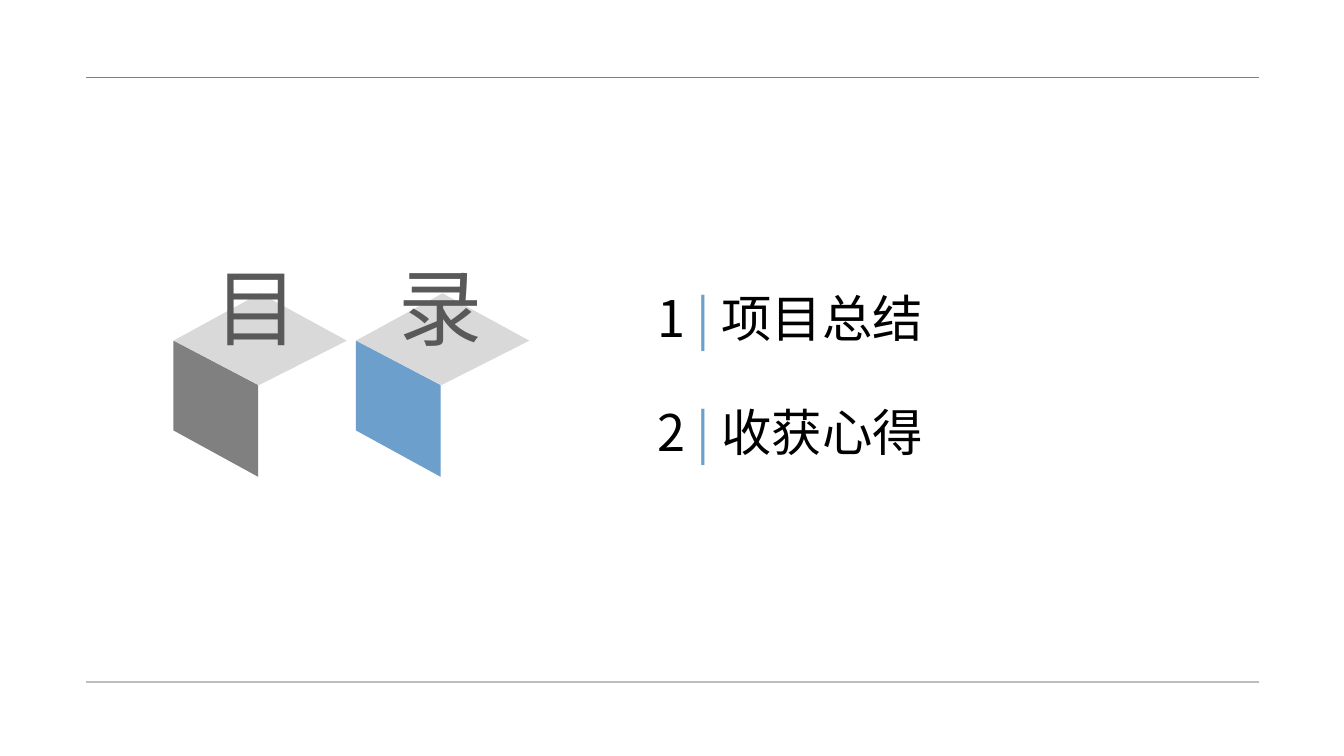
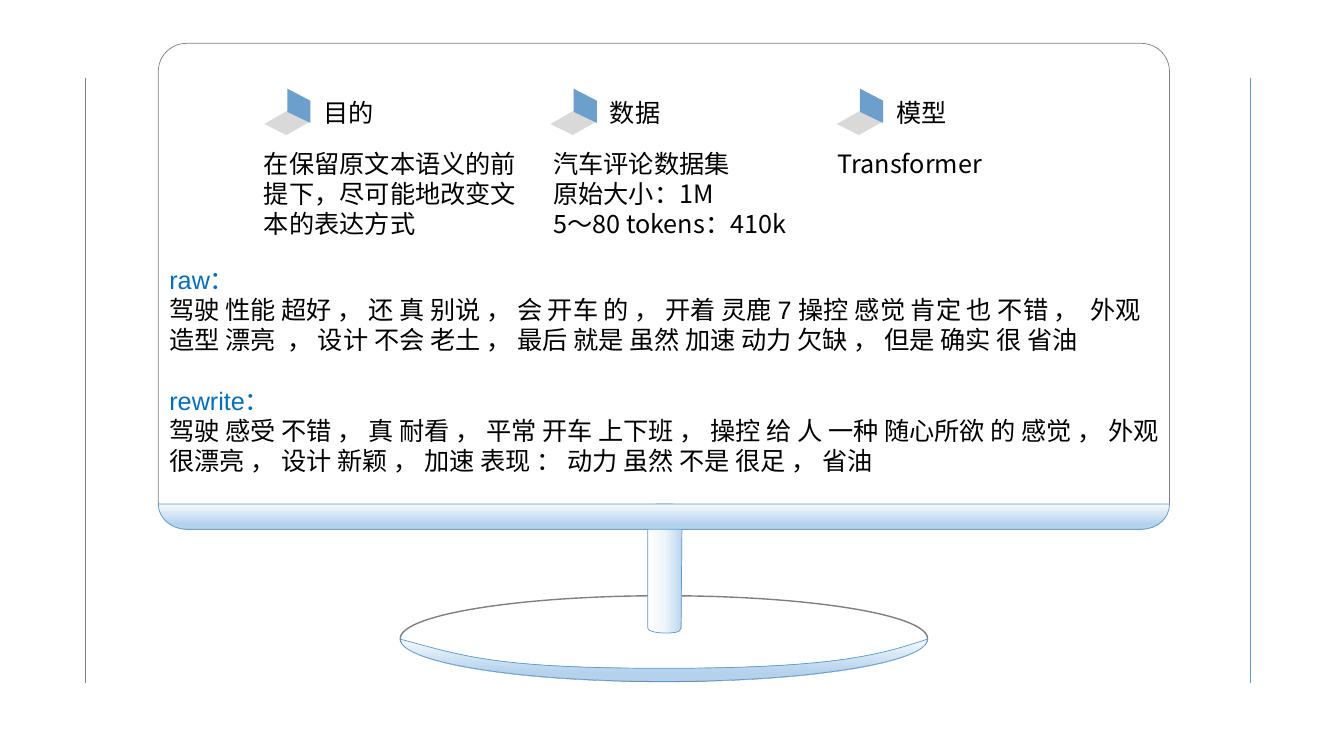
from lxml import etree
from pptx import Presentation
from pptx.dml.color import RGBColor
from pptx.enum.shapes import MSO_CONNECTOR, MSO_SHAPE
from pptx.enum.text import MSO_ANCHOR, MSO_AUTO_SIZE, PP_ALIGN
from pptx.oxml.ns import qn
from pptx.util import Inches, Pt

LINE = MSO_CONNECTOR.STRAIGHT
OVAL, ROUND = MSO_SHAPE.OVAL, MSO_SHAPE.ROUNDED_RECTANGLE
TOP, LEFT, FIXED = MSO_ANCHOR.TOP, PP_ALIGN.LEFT, MSO_AUTO_SIZE.NONE

BLACK = RGBColor(0x00, 0x00, 0x00)
WHITE = RGBColor(0xFF, 0xFF, 0xFF)
DARK = RGBColor(0x59, 0x59, 0x59)
GRAY = RGBColor(0x80, 0x80, 0x80)
SILVER = RGBColor(0xBE, 0xBE, 0xBE)
PALE = RGBColor(0xD9, 0xD9, 0xD9)
STEEL = RGBColor(0x6D, 0x9F, 0xCC)
BLUE = RGBColor(0x5B, 0x9B, 0xD5)
LABEL = RGBColor(0x00, 0x70, 0xC0)
MIST = RGBColor(0xEF, 0xF6, 0xFC)
SKY = RGBColor(0xB5, 0xD2, 0xEC)
ICE = RGBColor(0xBD, 0xD7, 0xEE)

HAN, LATIN = "Noto Sans CJK SC", "Arial"
DOWN = 270
SHADE = [(10, MIST), (79, SKY)]
GLOSS = [(0, WHITE), (47, MIST), (99, ICE)]

TOPICS = ["项目总结", "收获心得"]
COLUMNS = [
    ("目的", 2.52, ["在保留原文本语义的前提下，尽可能地改变文本的表达方式"]),
    ("数据", 5.39, ["汽车评论数据集", "原始大小：1M", "5～80 tokens：410k"]),
    ("模型", 8.21, ["Transformer"]),
]
SAMPLES = [
    ("raw：", "驾驶 性能 超好 ， 还 真 别说 ， 会 开车 的 ， 开着 灵鹿 7 操控 感觉 肯定 也 不错 ，  外观 "
     "造型 漂亮  ， 设计 不会 老土 ， 最后 就是 虽然 加速 动力 欠缺 ， 但是 确实 很 省油"),
    ("rewrite：", "驾驶 感受 不错 ， 真 耐看 ， 平常 开车 上下班 ， 操控 给 人 一种 随心所欲 的 感觉 ， 外观 "
     "很漂亮 ， 设计 新颖 ， 加速 表现 ： 动力 虽然 不是 很足 ， 省油"),
]


def place(item, x, y, w, h):
    """Move a placeholder to a box and bring it to the front."""
    item.left, item.top, item.width, item.height = map(Inches, (x, y, w, h))
    tree = item._element.getparent()
    tree.append(item._element)
    return item


def write(item, rows, size, font=HAN, inset=None):
    """Fill a text shape; each row is a list of (text, colour) runs."""
    frame = item.text_frame
    frame.word_wrap, frame.auto_size = True, FIXED
    frame.vertical_anchor = TOP
    if inset:
        frame.margin_left = frame.margin_right = Inches(inset)
        frame.margin_top = frame.margin_bottom = Inches(inset)
    for i, row in enumerate(rows):
        para = frame.add_paragraph() if i else frame.paragraphs[0]
        para.alignment = LEFT
        para.line_spacing = Pt(size * 1.2)
        para.space_before = para.space_after = Pt(0)
        props = para._p.get_or_add_pPr()
        props.set("marL", "0")
        props.set("indent", "0")
        etree.SubElement(props, qn("a:buNone"))
        for text, hue in row:
            run = para.add_run()
            run.text = text
            run.font.size, run.font.name = Pt(size), font
            run.font.color.rgb = hue
            face = etree.SubElement(run._r.get_or_add_rPr(), qn("a:ea"))
            face.set("typeface", HAN)
    return frame


def label(slide, x, y, w, h, rows, size):
    """Add a text box."""
    box = slide.shapes.add_textbox(*map(Inches, (x, y, w, h)))
    return write(box, rows, size)


def rule(slide, x1, y1, x2, y2, hue, width=0.5):
    """Draw a thin straight line."""
    line = slide.shapes.add_connector(LINE, *map(Inches, (x1, y1, x2, y2)))
    line.line.color.rgb, line.line.width = hue, Pt(width)
    etree.SubElement(line._element.spPr, qn("a:effectLst"))


def paint(shape, fill=None, edge=None, width=0.5):
    """Set a flat fill and an outline, or none of them."""
    shape.shadow.inherit = False
    if fill is None:
        shape.fill.background()
    else:
        shape.fill.solid()
        shape.fill.fore_color.rgb = fill
    if edge is None:
        shape.line.fill.background()
    else:
        shape.line.color.rgb, shape.line.width = edge, Pt(width)


def blend(shape, stops, angle):
    """Give a shape a linear gradient."""
    shape.fill.gradient()
    shape.fill.gradient_angle = angle
    group = shape._element.spPr.find(".//" + qn("a:gsLst"))
    for old in list(group):
        group.remove(old)
    for spot, hue in stops:
        stop = etree.SubElement(group, qn("a:gs"), pos=str(spot * 1000))
        etree.SubElement(stop, qn("a:srgbClr"), val=str(hue))


def bend(shape, steps):
    """Turn the line segments of each three-point step into one curve."""
    lines = iter(shape._element.spPr.findall(".//" + qn("a:lnTo")))
    for step in steps:
        group = [next(lines) for _ in step]
        if len(group) == 3:
            arc = etree.Element(qn("a:cubicBezTo"))
            group[0].addprevious(arc)
            for line in group:
                arc.append(line[0])
                line.getparent().remove(line)


def outline(slide, x, y, start, steps, fill=None, edge=None):
    """Draw a closed outline; a step holds one line point or three curve points."""
    def spot(point):
        return Inches(x + point[0]), Inches(y + point[1])
    pen = slide.shapes.build_freeform(*spot(start))
    pen.add_line_segments([spot(p) for step in steps for p in step], close=True)
    shape = pen.convert_to_shape()
    bend(shape, steps)
    paint(shape, fill, edge)
    return shape


def facet(slide, x, y, points, fill):
    """Draw a flat four-sided face."""
    outline(slide, x, y, points[0], [[p] for p in points[1:]], fill)


def cube(slide, x, y, hue):
    """Draw a large open cube: pale top and coloured side."""
    facet(slide, x, y, [(0.86, 0), (1.72, 0.47), (0.85, 0.91), (0, 0.47)], PALE)
    facet(slide, x, y, [(0, 0.47), (0.84, 0.91), (0.84, 1.82), (0, 1.36)], hue)


def icon(slide, x, y):
    """Draw a small open cube: pale floor and blue wall."""
    facet(slide, x, y, [(0.22, 0.46), (0, 0.35), (0.23, 0.22), (0.45, 0.33)], PALE)
    facet(slide, x, y, [(0.46, 0.34), (0.23, 0.23), (0.23, 0), (0.46, 0.12)], STEEL)


def stand(slide, x, y, w, h):
    """Draw the oval foot."""
    foot = slide.shapes.add_shape(OVAL, *map(Inches, (x, y, w, h)))
    paint(foot, None, GRAY, 1)


def rim(slide, x, y, w, h):
    """Draw the shaded front rim of the foot."""
    mid, dip = w / 2, h - 0.13
    steps = [[(0.63, 0.17), (0.95, dip), (mid, dip)],
             [(4.29, dip), (4.75, 0.16), (w, 0)],
             [(w, 0.23), (4.06, h), (mid, h)],
             [(1.17, h), (0, 0.23), (0, 0)]]
    blend(outline(slide, x, y, (0, 0), steps, edge=BLUE), SHADE, DOWN)


def screen(slide, x, y, w, h):
    """Draw the monitor: panel, neck and shaded lower band."""
    panel = slide.shapes.add_shape(ROUND, *map(Inches, (x, y, w, h)))
    panel.adjustments[0] = 0.058
    paint(panel, WHITE, GRAY)
    band = 0.25
    base = y + h - band
    neck = [[(0.29, 0), (0.34, 0.04), (0.34, 0.08)], [(0.33, 1.23)],
            [(0.33, 1.28), (0.23, 1.28), (0.17, 1.28)],
            [(0.12, 1.28), (0, 1.27), (0, 1.23)], [(0, 0.08)],
            [(0, 0.04), (0.04, 0), (0.09, 0)]]
    pole = outline(slide, x + w / 2 - 0.16, base, (0.24, 0), neck, edge=BLUE)
    blend(pole, GLOSS, 0)
    chin = [[(w, 0.14), (w - 0.12, band), (w - 0.28, band)], [(0.28, band)],
            [(0.13, band), (0, 0.14), (0, 0)]]
    blend(outline(slide, x, base, (w, 0), chin, edge=BLUE), SHADE, DOWN)


def agenda(deck):
    """Build the contents slide."""
    slide = deck.slides.add_slide(deck.slide_layouts[1])
    for i, hue in enumerate((GRAY, STEEL)):
        cube(slide, 1.72 + 1.81 * i, 2.91, hue)
    rule(slide, 12.49, 0.77, 0.85, 0.77, GRAY)
    rule(slide, 12.49, 6.77, 0.85, 6.77, SILVER, 1.5)
    title = place(slide.shapes.title, 2.03, 2.48, 3.6, 1.11)
    frame = write(title, [[("目", DARK), ("录", DARK)]], 60)
    gap = frame.paragraphs[0].runs[0]
    gap._r.get_or_add_rPr().set("spc", "7100")
    body = place(slide.placeholders[1], 6.37, 2.7, 3.38, 2.03)
    rows = [[(f"{i} ", BLACK), ("| ", STEEL), (topic, BLACK)]
            for i, topic in enumerate(TOPICS, 1)]
    frame = write(body, rows, 36, inset=0.15)
    frame.paragraphs[0].space_after = Pt(38)


def summary(deck):
    """Build the project summary slide."""
    slide = deck.slides.add_slide(deck.slide_layouts[1])
    title = slide.shapes.title._element
    title.getparent().remove(title)
    stand(slide, 3.97, 5.91, 5.23, 0.85)
    screen(slide, 1.57, 0.43, 10.03, 4.82)
    rim(slide, 3.97, 6.34, 5.23, 0.42)
    for x, hue in ((0.85, GRAY), (12.4, BLUE)):
        rule(slide, x, 0.77, x, 6.78, hue)
    for i, (head, left, lines) in enumerate(COLUMNS):
        x = 2.62 + 2.84 * i
        icon(slide, x, 0.88)
        label(slide, x + 0.49, 0.92, 1.35, 0.4, [[(head, BLACK)]], 18)
        label(slide, left, 1.42, 2.87, 1.01, [[(line, BLACK)] for line in lines], 18)
    body = place(slide.placeholders[1], 1.58, 2.57, 10.02, 2.22)
    rows = [[run] for head, text in SAMPLES for run in ((head, LABEL), (text, BLACK))]
    frame = write(body, rows, 18, LATIN)
    frame.paragraphs[2].space_before = Pt(21.6)


deck = Presentation()
deck.slide_width, deck.slide_height = Inches(13.33), Inches(7.5)
agenda(deck)
summary(deck)
deck.save("out.pptx")
